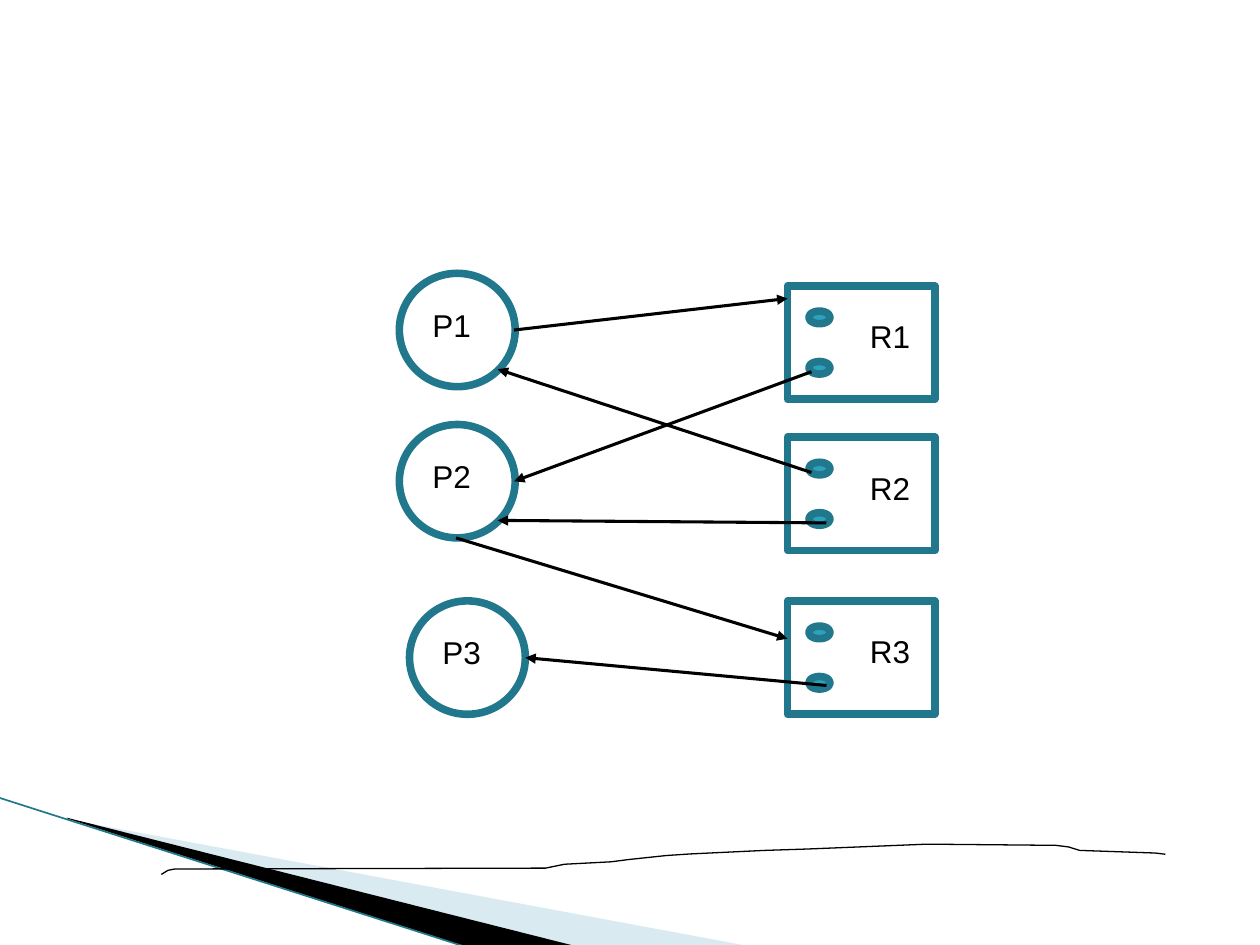
from lxml import etree
from pptx import Presentation
from pptx.dml.color import RGBColor
from pptx.enum.shapes import MSO_CONNECTOR as CONNECTOR, MSO_SHAPE as SHAPE
from pptx.oxml.ns import qn
from pptx.util import Pt

BLACK, TEAL, DARK_TEAL, PALE_BLUE = "000000", "2DA2BF", "21788D", "A0CBDC"
NODE_HEIGHT = 64.8
PROCESSES = [("P1", 228.2, 156.2), ("P2", 228.2, 242.6), ("P3", 234, 343.4)]
RESOURCES = [("R1", 450, 163.4), ("R2", 450, 249.8), ("R3", 450, 343.4)]
ARROWS = [
    ((293.8, 188.6), (450, 170.6)),
    ((463.7, 212.4), (293.8, 275)),
    ((463.7, 270), (284.4, 211)),
    ((472.3, 298.8), (284.4, 297.4)),
    ((260.6, 307.4), (450, 365)),
    ((472.3, 391.7), (300.2, 375.8)),
]
LIGHT_WEDGE = [(39.6, 468.4), (428.4, 540.7), (328.3, 540.7), (39.6, 468)]
BLACK_WEDGE = [(38.2, 467.3), (329, 540.7), (267.8, 541.4), (38.9, 468)]
HAND_LINE = [
    (92.2, 499.7), (96, 497.4), (100, 496.6), (107.3, 496.6), (311.8, 496.1),
    (322.6, 493.9), (349.2, 492.5), (359.3, 491.2), (380.9, 488.9), (394.6, 488),
    (437, 486), (461.5, 485.2), (529.9, 482.4), (603.4, 483.1), (610.6, 484),
    (617, 486), (660.2, 487.5), (666, 488.2),
]


def color(hex_value):
    """Turn a hex string into a colour."""
    return RGBColor.from_string(hex_value)


def style(shape, fill=None, line=None, width=0):
    """Set fill and outline, and drop the shadow."""
    shape.shadow.inherit = False
    if fill:
        shape.fill.solid()
        shape.fill.fore_color.rgb = color(fill)
    else:
        shape.fill.background()
    if line:
        shape.line.color.rgb = color(line)
        shape.line.width = Pt(width)
    else:
        shape.line.fill.background()


def add_outlined(slide, kind, left, top, width, height, fill=None):
    """Add a preset shape with the thick teal outline."""
    shape = slide.shapes.add_shape(kind, Pt(left), Pt(top), Pt(width), Pt(height))
    style(shape, fill, DARK_TEAL, 4.33)


def add_label(slide, text, left, top):
    """Add the name of a node."""
    box = slide.shapes.add_textbox(Pt(left), Pt(top), Pt(37.2), Pt(34.6))
    box.text_frame.word_wrap = False
    box.text_frame.text = text
    font = box.text_frame.paragraphs[0].runs[0].font
    font.name, font.size = "Arial", Pt(18)
    font.color.rgb = color(BLACK)


def add_process(slide, name, left, top):
    """Add a process circle with its name."""
    add_outlined(slide, SHAPE.OVAL, left, top, 66.2, NODE_HEIGHT)
    add_label(slide, name, left + 11.8, top + 15)


def add_resource(slide, name, left, top):
    """Add a resource box with two instances and its name."""
    add_outlined(slide, SHAPE.RECTANGLE, left, top, 84.2, NODE_HEIGHT)
    for offset in (14.4, 43.2):
        add_outlined(slide, SHAPE.OVAL, left + 12.2, top + offset, 12.2, 7.2, TEAL)
    add_label(slide, name, left + 40, top + 14.4)


def add_line(slide, start, end, line, width, arrow=False):
    """Add a straight line, with an arrowhead at its end if wanted."""
    connector = slide.shapes.add_connector(
        CONNECTOR.STRAIGHT, *(Pt(value) for value in start + end))
    connector.line.color.rgb = color(line)
    connector.line.width = Pt(width)
    if arrow:
        etree.SubElement(connector.line._get_or_add_ln(), qn("a:tailEnd"), type="triangle")
    etree.SubElement(connector._element.spPr, qn("a:effectLst"))


def add_outline(slide, points, closed):
    """Add a freeform through the points."""
    start, *others = [(Pt(x), Pt(y)) for x, y in points]
    builder = slide.shapes.build_freeform(*start)
    builder.add_line_segments(others, close=closed)
    return builder.convert_to_shape()


def add_decoration(slide):
    """Add the corner wedges and the hand-drawn line."""
    light = add_outline(slide, LIGHT_WEDGE, True)
    style(light, PALE_BLUE)
    fill_color = light._element.spPr.find(qn("a:solidFill"))[0]
    etree.SubElement(fill_color, qn("a:alpha"), val="40000")
    style(add_outline(slide, BLACK_WEDGE, True), BLACK)
    add_line(slide, (-0.7, 455.8), (267.1, 541.4), DARK_TEAL, 0.95)
    style(add_outline(slide, HAND_LINE, False), None, BLACK, 0.75)


def main():
    """Build the resource allocation graph."""
    presentation = Presentation()
    presentation.slide_width, presentation.slide_height = Pt(720), Pt(540)
    slide = presentation.slides.add_slide(presentation.slide_layouts[6])
    add_decoration(slide)
    for resource in RESOURCES:
        add_resource(slide, *resource)
    for process in PROCESSES:
        add_process(slide, *process)
    for start, end in ARROWS:
        add_line(slide, start, end, BLACK, 1.75, arrow=True)
    presentation.save("out.pptx")


if __name__ == "__main__":
    main()
